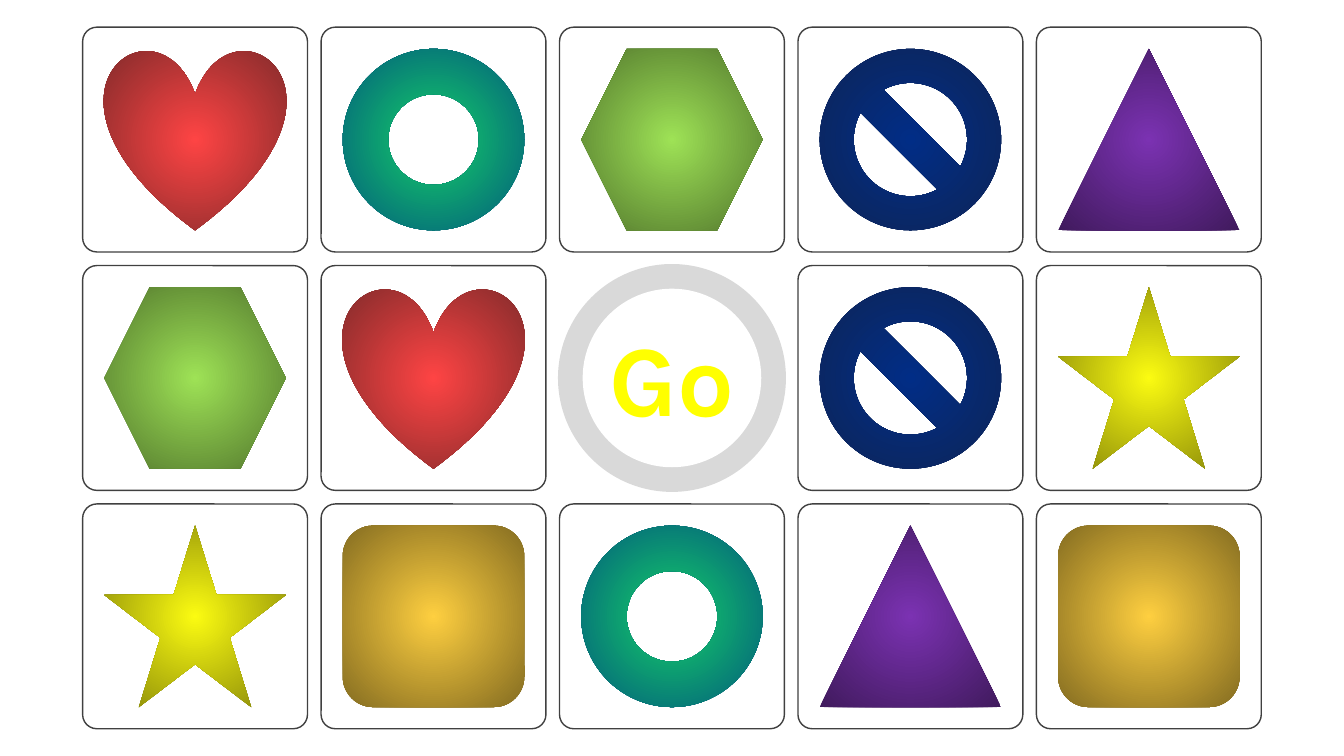
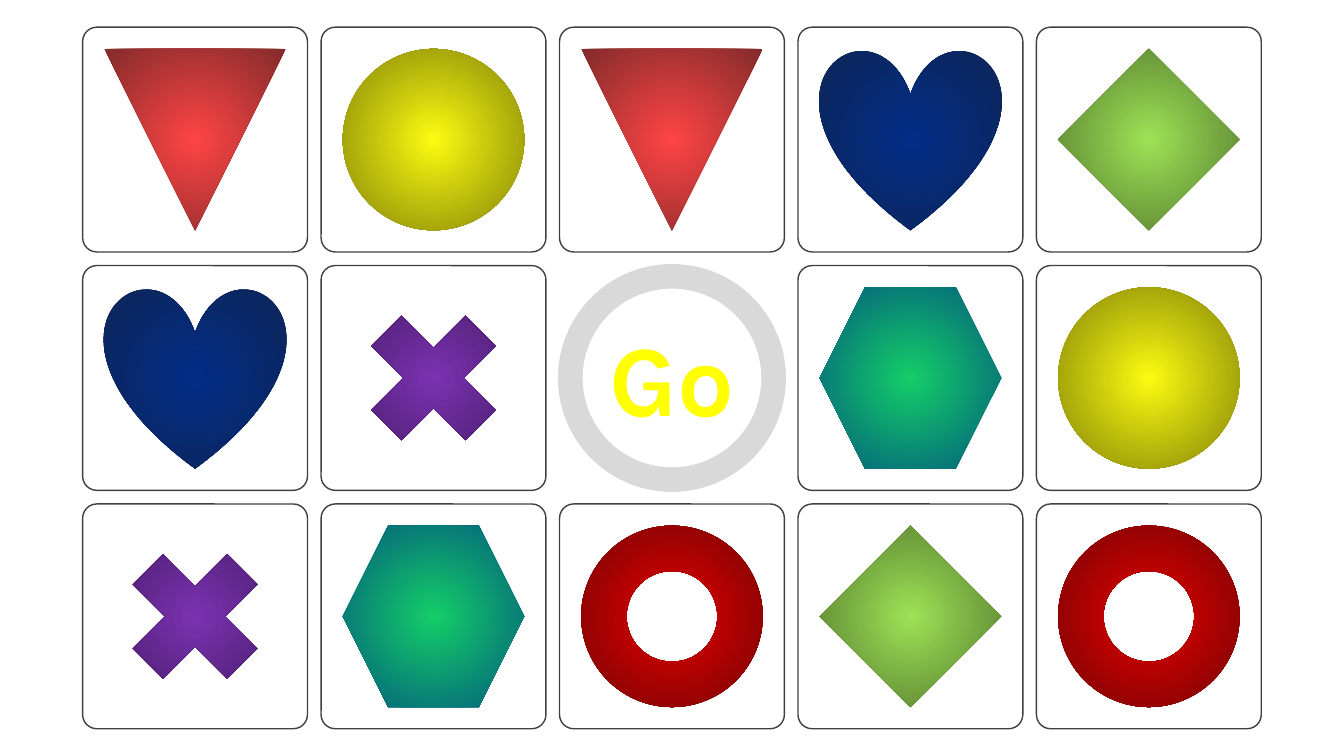
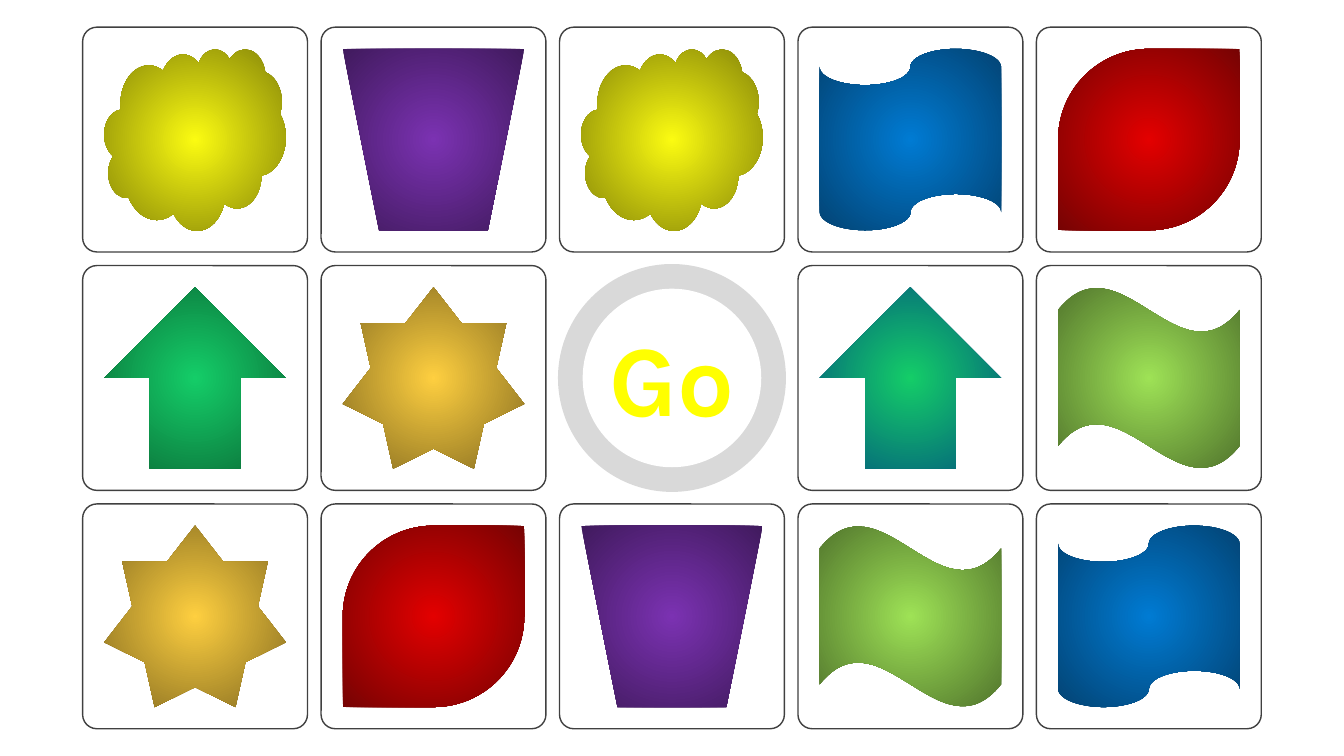
from lxml.etree import SubElement
from pptx import Presentation
from pptx.dml.color import RGBColor
from pptx.enum.shapes import MSO_SHAPE
from pptx.enum.text import MSO_AUTO_SIZE, PP_ALIGN
from pptx.oxml.ns import qn
from pptx.util import Inches, Pt

COLUMNS, ROWS = 5, 3
GO_CELL = (1, 2)
LEFT, TOP = 0.82, 0.27
CARD = 2.23
PITCH = (10.28 - LEFT) / (COLUMNS - 1)
TOKEN = 1.8

WHITE, CARD_EDGE, RING_GREY = "FFFFFF", "404040", "D9D9D9"
CORAL = ("FE4444", "832B2B")
RED = ("E30000", "760303")
YELLOW = ("FBFB11", "838309")
GOLD = ("FECF40", "846C21")
LIME = ("9EE256", "52762D")
GREEN = ("14CD68", "0B6E38")
TEAL = ("14CD68", "035C7D")
BLUE = ("007BD3", "034373")
NAVY = ("012D86", "0E2557")
PURPLE = ("7B32B2", "401A5D")
GO_STOPS = [(0, "FF0000"), (70, "FFFF00"), (70, "E08000"), (70, "FFC000")]
GO_OUTLINE = "C00000"

HEART = MSO_SHAPE.HEART
DONUT = MSO_SHAPE.DONUT
HEXAGON = MSO_SHAPE.HEXAGON
BAN = MSO_SHAPE.NO_SYMBOL
STAR = MSO_SHAPE.STAR_5_POINT
ROUNDED = MSO_SHAPE.ROUNDED_RECTANGLE
MERGE = MSO_SHAPE.FLOWCHART_MERGE
CIRCLE = MSO_SHAPE.OVAL
DIAMOND = MSO_SHAPE.DIAMOND
CROSS = MSO_SHAPE.MATH_MULTIPLY
CLOUD = MSO_SHAPE.CLOUD
BUCKET = MSO_SHAPE.FLOWCHART_MANUAL_OPERATION
TAPE = MSO_SHAPE.FLOWCHART_PUNCHED_TAPE
LEAF = MSO_SHAPE.ROUND_2_DIAG_RECTANGLE
ARROW = MSO_SHAPE.UP_ARROW
BURST = MSO_SHAPE.STAR_7_POINT
WAVE = MSO_SHAPE.WAVE

BOARDS = [
    [
        [(HEART, CORAL), (DONUT, TEAL), (HEXAGON, LIME), (BAN, NAVY),
         (MSO_SHAPE.FLOWCHART_EXTRACT, PURPLE)],
        [(HEXAGON, LIME), (HEART, CORAL), None, (BAN, NAVY), (STAR, YELLOW)],
        [(STAR, YELLOW), (ROUNDED, GOLD), (DONUT, TEAL),
         (MSO_SHAPE.ISOSCELES_TRIANGLE, PURPLE), (ROUNDED, GOLD)],
    ],
    [
        [(MERGE, CORAL), (CIRCLE, YELLOW), (MERGE, CORAL), (HEART, NAVY), (DIAMOND, LIME)],
        [(HEART, NAVY), (CROSS, PURPLE), None, (HEXAGON, TEAL), (CIRCLE, YELLOW)],
        [(CROSS, PURPLE), (HEXAGON, TEAL), (DONUT, RED), (DIAMOND, LIME), (DONUT, RED)],
    ],
    [
        [(CLOUD, YELLOW), (BUCKET, PURPLE), (CLOUD, YELLOW), (TAPE, BLUE), (LEAF, RED)],
        [(ARROW, GREEN), (BURST, GOLD), None, (ARROW, TEAL), (WAVE, LIME)],
        [(BURST, GOLD), (LEAF, RED), (BUCKET, PURPLE), (WAVE, LIME), (TAPE, BLUE)],
    ],
]


def rgb(value):
    return RGBColor.from_string(value)


def add_gradient(parent, stops):
    gradient = SubElement(parent, qn("a:gradFill"), rotWithShape="1")
    stop_list = SubElement(gradient, qn("a:gsLst"))
    for position, colour in stops:
        stop = SubElement(stop_list, qn("a:gs"), pos=str(position * 1000))
        SubElement(stop, qn("a:srgbClr"), val=colour)
    return gradient


def add_figure(slide, kind, left, top, size):
    figure = slide.shapes.add_shape(
        kind, Inches(left), Inches(top), Inches(size), Inches(size))
    figure.shadow.inherit = False
    return figure


def add_panel(slide, left, top, size, rounding, fill, edge, edge_width):
    panel = add_figure(slide, ROUNDED, left, top, size)
    panel.adjustments[0] = rounding
    panel.fill.solid()
    panel.fill.fore_color.rgb = rgb(fill)
    panel.line.color.rgb = rgb(edge)
    panel.line.width = Pt(edge_width)


def add_token(slide, left, top, kind, shades):
    inset = (CARD - TOKEN) / 2
    token = add_figure(slide, kind, left + inset, top + inset, TOKEN)
    if kind == LEAF:
        token.adjustments[0] = 0.5
    token.line.fill.background()
    token.fill.background()
    properties = token._element.spPr
    gradient = add_gradient(properties, zip((0, 100), shades))
    radial = SubElement(gradient, qn("a:path"), path="circle")
    SubElement(radial, qn("a:fillToRect"), l="50000", t="50000", r="50000", b="50000")
    properties.replace(properties.find(qn("a:noFill")), gradient)


def add_go_button(slide, left, top):
    add_panel(slide, left, top, CARD, 0.5, RING_GREY, RING_GREY, 2.25)
    add_panel(slide, left + 0.25, top + 0.25, CARD - 0.5, 0.5, WHITE, WHITE, 3)
    label = slide.shapes.add_textbox(
        Inches(left + 0.28), Inches(top + 0.45), Inches(CARD - 0.56), Inches(1.31))
    frame = label.text_frame
    frame.word_wrap = True
    frame.auto_size = MSO_AUTO_SIZE.SHAPE_TO_FIT_TEXT
    paragraph = frame.paragraphs[0]
    paragraph.alignment = PP_ALIGN.CENTER
    go = paragraph.add_run()
    go.text = "Go"
    properties = go._r.get_or_add_rPr()
    outline = SubElement(properties, qn("a:ln"), w=str(Pt(2.25)))
    outline_fill = SubElement(outline, qn("a:solidFill"))
    SubElement(outline_fill, qn("a:srgbClr"), val=GO_OUTLINE)
    gradient = add_gradient(properties, GO_STOPS)
    SubElement(gradient, qn("a:lin"), ang=str(90 * 60000), scaled="0")
    go.font.name = "Karla"
    go.font.size = Pt(72)
    go.font.bold = True


def cell_origin(row, column):
    return LEFT + column * PITCH, TOP + row * PITCH


def add_board(slide, board):
    cells = [(row, column) for row in range(ROWS) for column in range(COLUMNS)
             if (row, column) != GO_CELL]
    for cell in cells:
        add_panel(slide, *cell_origin(*cell), CARD, 0.063, WHITE, CARD_EDGE, 1)
    for row, column in cells:
        add_token(slide, *cell_origin(row, column), *board[row][column])
    add_go_button(slide, *cell_origin(*GO_CELL))


deck = Presentation()
deck.slide_width, deck.slide_height = Inches(13.33), Inches(7.5)
for board in BOARDS:
    add_board(deck.slides.add_slide(deck.slide_layouts[6]), board)
deck.save("out.pptx")
